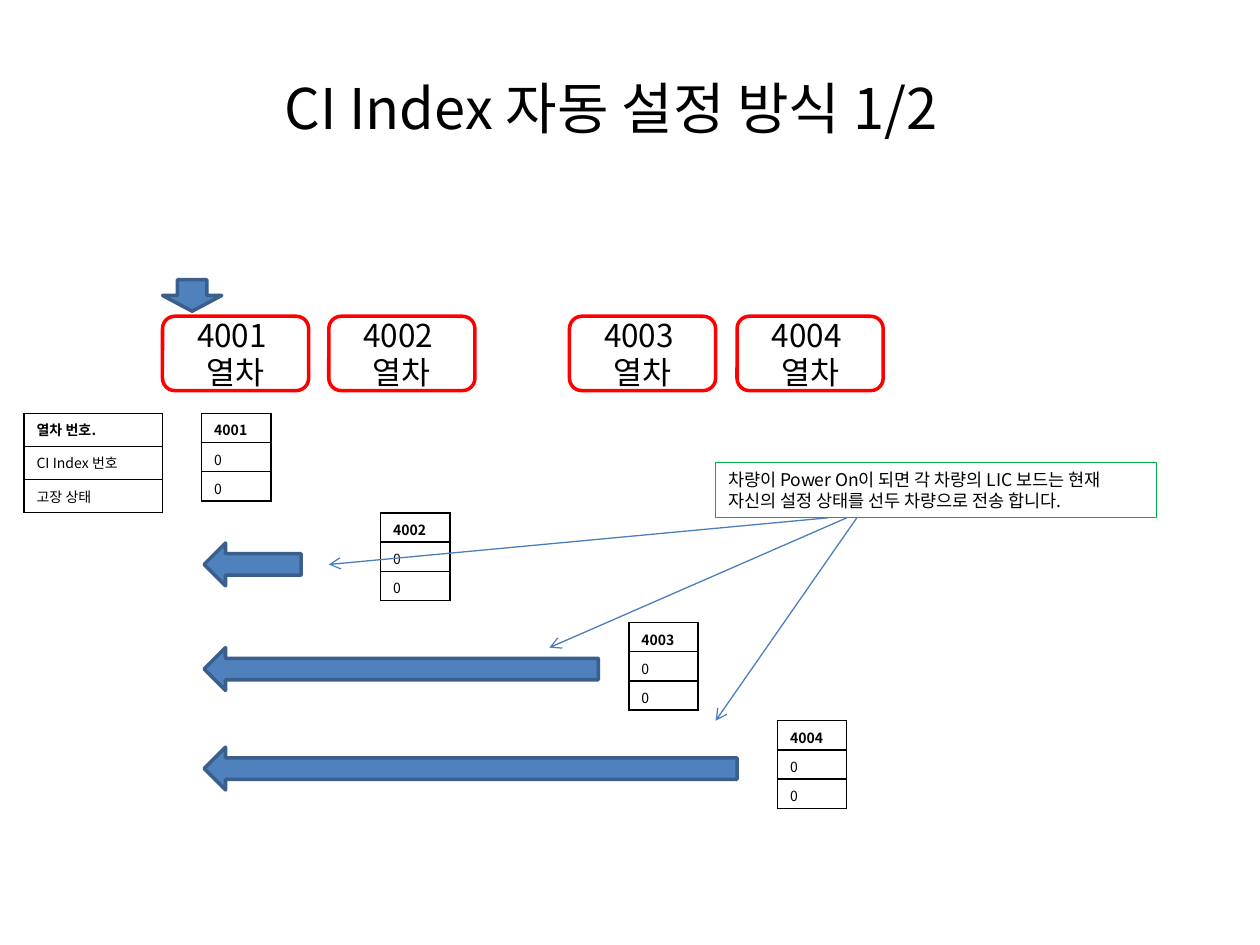
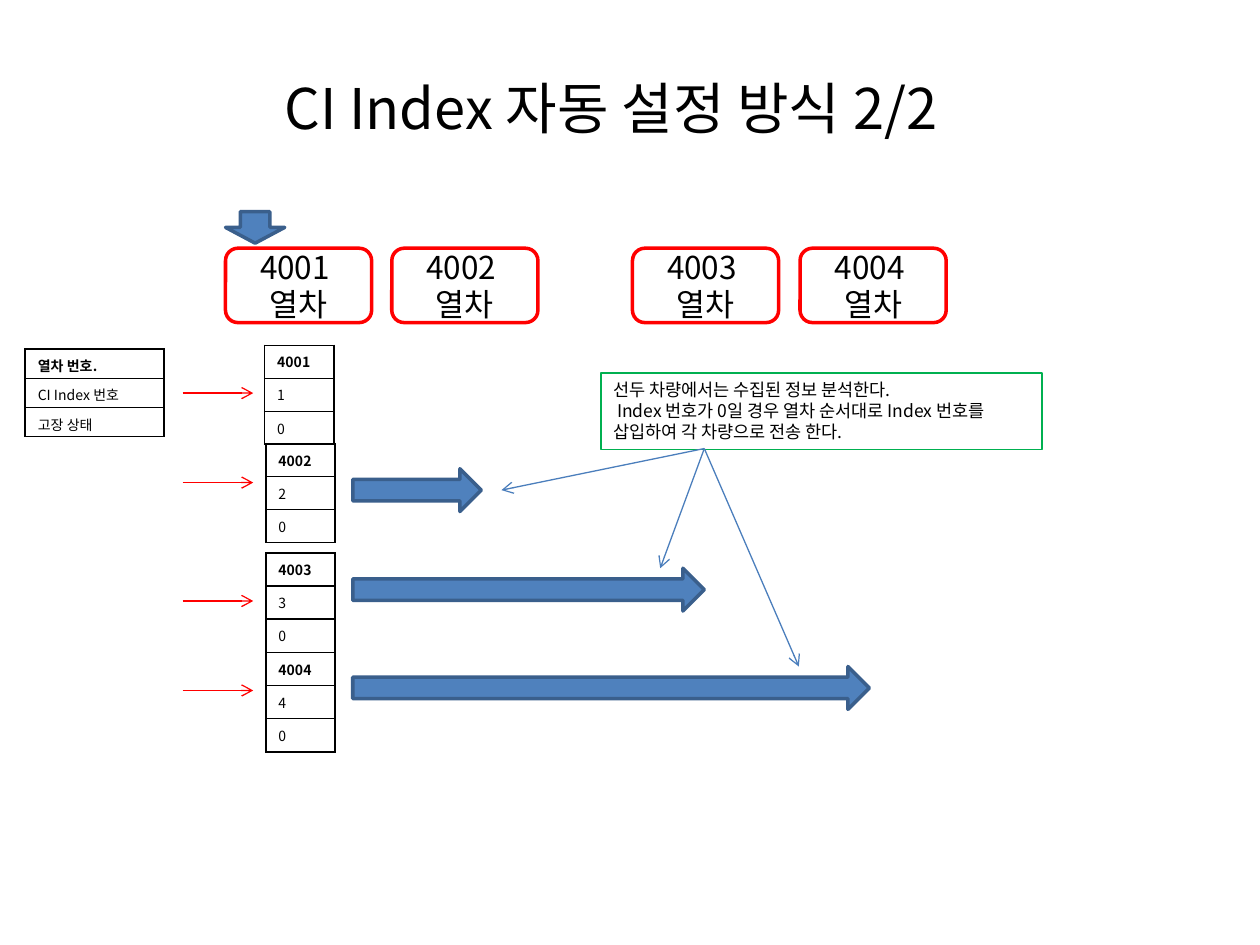
from lxml.etree import SubElement
from pptx import Presentation
from pptx.dml.color import RGBColor
from pptx.enum.shapes import MSO_CONNECTOR, MSO_SHAPE as SHAPE
from pptx.enum.text import MSO_ANCHOR as ANCHOR, MSO_AUTO_SIZE as AUTO, PP_ALIGN as ALIGN
from pptx.oxml.ns import qn
from pptx.util import Inches, Pt

BLACK = RGBColor(0x00, 0x00, 0x00)
RED = RGBColor(0xFF, 0x00, 0x00)
GREEN = RGBColor(0x00, 0xB0, 0x50)
BLUE = RGBColor(0x4F, 0x81, 0xBD)
DARK_BLUE = RGBColor(0x3A, 0x5F, 0x8C)
LINE_BLUE = RGBColor(0x4B, 0x7E, 0xBC)
FONT = "Noto Sans CJK KR"

TRAINS = ["4001", "4002", "4003", "4004"]
CAR_X = [0, 1.32, 3.23, 4.56]
CAR_W, CAR_H = 1.16, 0.59
MARKER_W, MARKER_H, MARKER_RISE = 0.47, 0.25, 0.29
ARROW_H = 0.34
LEGEND = ["열차 번호.", "CI Index 번호", "고장 상태"]
LEGEND_W, RECORD_W = 1.1, 0.55
LOW_ROW, TALL_ROW = 0.23, 0.26

SLIDES = [
    dict(
        title="CI Index 자동 설정 방식 1/2",
        cars=(1.29, 2.51),
        legend=(0.19, 3.28, TALL_ROW),
        records=[(1.6, 3.28), (3.02, 4.07), (4.99, 4.94), (6.17, 5.72)],
        indexes=["0"] * 4,
        record_row=LOW_ROW,
        arrow=SHAPE.LEFT_ARROW,
        arrow_x=1.62,
        arrows=[(4.31, 0.77), (5.14, 3.13), (5.93, 4.23)],
        note=(5.68, 3.67, 3.5, 0.44),
        note_lines=["차량이 Power On이 되면 각 차량의 LIC 보드는 현재 자신의 설정 상태를 선두 차량으로 전송 합니다."],
        pointers=[(6.8, 4.11, 5.68, 5.72), (6.72, 4.11, 4.36, 5.14), (6.57, 4.11, 2.61, 4.48)],
        index_pointers=[],
    ),
    dict(
        title="CI Index 자동 설정 방식 2/2",
        cars=(1.79, 1.97),
        legend=(0.2, 2.77, LOW_ROW),
        records=[(2.1, 2.74), (2.11, 3.52), (2.11, 4.39), (2.11, 5.18)],
        indexes=["1", "2", "3", "4"],
        record_row=TALL_ROW,
        arrow=SHAPE.RIGHT_ARROW,
        arrow_x=2.8,
        arrows=[(3.72, 1.02), (4.51, 2.79), (5.29, 4.1)],
        note=(4.77, 2.96, 3.5, 0.61),
        note_lines=["선두 차량에서는 수집된 정보 분석한다.",
                    " Index 번호가 0일 경우 열차 순서대로 Index 번호를 삽입하여 각 차량으로 전송 한다."],
        pointers=[(5.59, 3.56, x, y) for x, y in [(3.98, 3.89), (5.24, 4.51), (6.34, 5.29)]],
        index_pointers=[(1.45, y, 2.01, y) for y in [3.12, 3.83, 4.77, 5.48]],
    ),
]


def write(tf, lines, size, align=ALIGN.LEFT, bold=False):
    for i, line in enumerate(lines):
        p = tf.add_paragraph() if i else tf.paragraphs[0]
        p.text = line
        p.alignment = align
        p.font.size = Pt(size)
        p.font.bold = bold
        p.font.color.rgb = BLACK
        p.font.name = FONT
        SubElement(p._p.pPr.find(qn("a:defRPr")), qn("a:ea"), typeface=FONT)


def add_box(s, kind, box, line, width, fill=None):
    sp = s.shapes.add_shape(kind, *map(Inches, box))
    sp.shadow.inherit = False
    if fill is None:
        sp.fill.background()
    else:
        sp.fill.solid()
        sp.fill.fore_color.rgb = fill
    sp.line.color.rgb = line
    sp.line.width = Pt(width)
    return sp


prs = Presentation()
prs.slide_width, prs.slide_height = Inches(10), Inches(7.5)

for d in SLIDES:
    s = prs.slides.add_slide(prs.slide_layouts[5])
    title = s.shapes.title
    title.left, title.top, title.width, title.height = map(Inches, (2.16, 0.53, 5.86, 0.64))
    tf = title.text_frame
    tf.auto_size = AUTO.NONE
    tf.word_wrap = False
    tf.vertical_anchor = ANCHOR.MIDDLE
    write(tf, [d["title"]], 32)

    tables = [(*d["legend"], LEGEND_W, LEGEND)]
    for (x, y), train, index in zip(d["records"], TRAINS, d["indexes"]):
        tables.append((x, y, d["record_row"], RECORD_W, [train, index, "0"]))
    for x, y, row_h, w, texts in tables:
        frame = s.shapes.add_table(len(texts), 1, *map(Inches, (x, y, w, row_h * len(texts))))
        table = frame.table
        table.first_row = table.horz_banding = False
        for i, text in enumerate(texts):
            table.rows[i].height = Inches(row_h)
            cell = table.cell(i, 0)
            cell.margin_top = Inches(0.05)
            cell.margin_bottom = Inches(row_h - 0.21)
            for side in ("lnL", "lnR", "lnT", "lnB"):
                ln = SubElement(cell._tc.get_or_add_tcPr(), qn(f"a:{side}"), w=str(Pt(1)))
                SubElement(SubElement(ln, qn("a:solidFill")), qn("a:srgbClr"), val=str(BLACK))
            cell.fill.background()
            write(cell.text_frame, [text], 8, bold=i == 0)

    left, top = d["cars"]
    for dx, train in zip(CAR_X, TRAINS):
        car = add_box(s, SHAPE.ROUNDED_RECTANGLE, (left + dx, top, CAR_W, CAR_H), RED, 2)
        car.text_frame.word_wrap = True
        car.text_frame.vertical_anchor = ANCHOR.MIDDLE
        write(car.text_frame, [f"{train} ", "열차"], 18, ALIGN.CENTER)
    add_box(s, SHAPE.DOWN_ARROW, (left, top - MARKER_RISE, MARKER_W, MARKER_H), DARK_BLUE, 2, BLUE)

    for y, w in d["arrows"]:
        add_box(s, d["arrow"], (d["arrow_x"], y, w, ARROW_H), DARK_BLUE, 2, BLUE)

    note = add_box(s, SHAPE.RECTANGLE, d["note"], GREEN, 0.75)
    note.text_frame.word_wrap = True
    note.text_frame.vertical_anchor = ANCHOR.TOP
    write(note.text_frame, d["note_lines"], 10)

    for color, lines in [(LINE_BLUE, d["pointers"]), (RED, d["index_pointers"])]:
        for ends in lines:
            c = s.shapes.add_connector(MSO_CONNECTOR.STRAIGHT, *map(Inches, ends))
            c.line.color.rgb = color
            c.line.width = Pt(0.75)
            SubElement(c.line._get_or_add_ln(), qn("a:tailEnd"), type="arrow")
            SubElement(c._element.spPr, qn("a:effectLst"))

prs.save("out.pptx")
